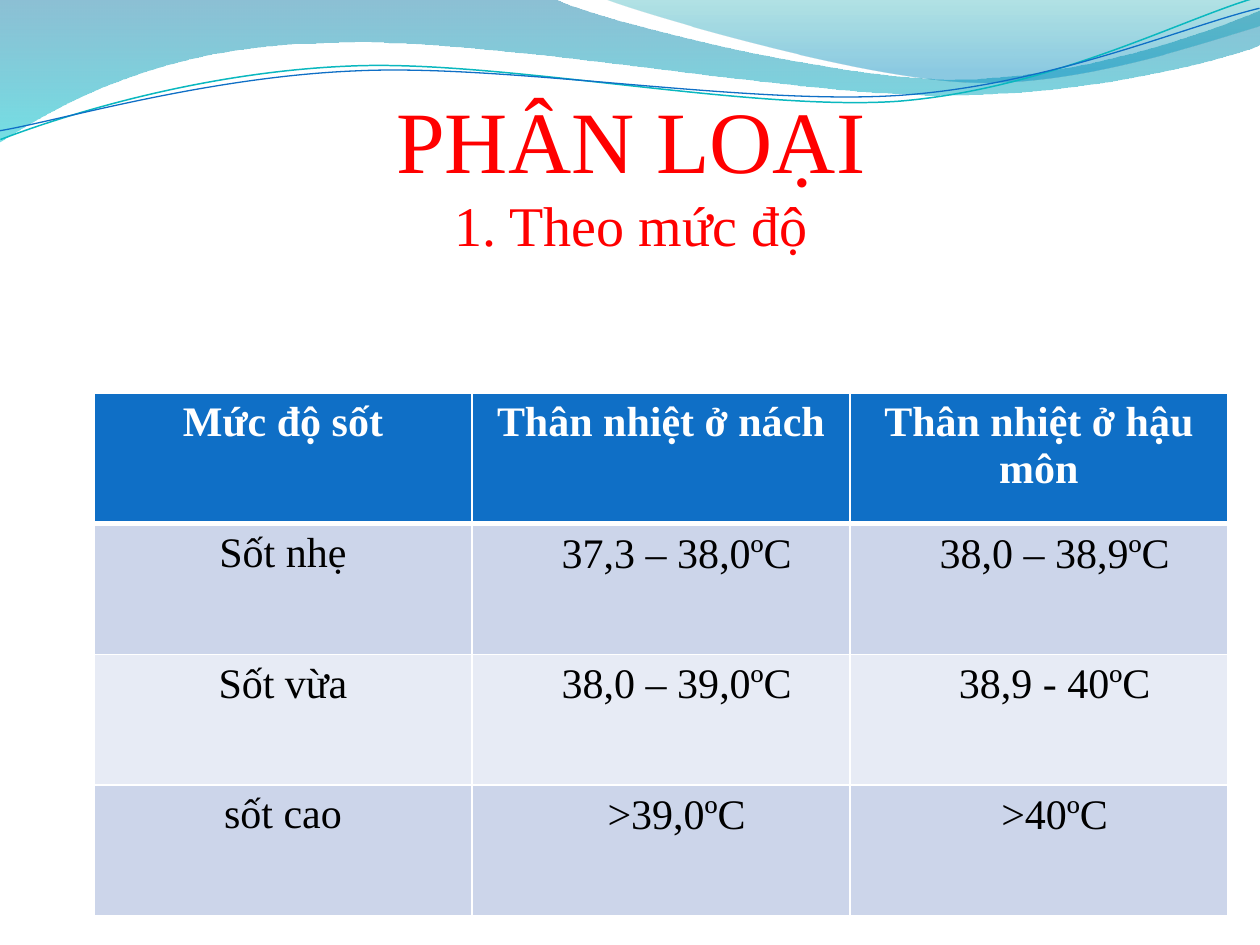
import pptx
import pptx.util
import pptx.dml.color
import pptx.enum.text
import pptx.oxml
import pptx.oxml.ns
from lxml import etree

PX = 914400 // 126
FONT = "Times New Roman"
HUES = {
    "red": "FF0000", "white": "FFFFFF", "black": "000000",
    "blue": "0F6FC6", "teal": "0AB8BF",
    "odd": "CCD5EA", "even": "E7EBF5",
    "deep": "0074A1", "aqua": "00C6CF", "sea": "00A1A9", "sky": "008BBF",
}
ROWS = [
    ["Mức độ sốt", "Thân nhiệt ở nách", "Thân nhiệt ở hậu môn"],
    ["Sốt nhẹ", "37,3 – 38,0ºC", "38,0 – 38,9ºC"],
    ["Sốt vừa", "38,0 – 39,0ºC", "38,9 - 40ºC"],
    ["sốt cao", ">39,0ºC", ">40ºC"],
]
BACK = [
    [(0, 0)],
    [(554, -1)],
    [(600, 21), (837, 79), (955, 79)],
    [(1075, 79), (1207, 33), (1260, 11)],
    [(1261, 45)],
    [(1239, 55), (1096, 96), (940, 95)],
    [(784, 95), (481, 35), (324, 43)],
    [(163, 45), (58, 105), (-1, 142)],
    [(0, 0)],
]
FRONT = [
    [(604, -1)],
    [(641, 14), (859, 78), (969, 82)],
    [(1079, 87), (1211, 40), (1260, 26)],
    [(1260, 0)],
    [(604, -1)],
]
UPPER = [
    [(-2, 110)],
    [(58, 90), (199, 52), (350, 53)],
    [(499, 53), (745, 117), (896, 114)],
    [(1049, 109), (1184, 45), (1260, 27)],
]
LOWER = [
    [(-2, 101)],
    [(57, 94), (207, 57), (357, 58)],
    [(509, 58), (750, 112), (902, 108)],
    [(1052, 104), (1188, 52), (1262, 38)],
]


def hue(name):
    return pptx.dml.color.RGBColor.from_string(HUES[name])


def tag(name):
    return pptx.oxml.ns.qn(f"a:{name}")


def draw(slide, parts, close):
    dots = [(x * PX, y * PX) for part in parts for x, y in part]
    pen = slide.shapes.build_freeform(*dots[0])
    pen.add_line_segments(dots[1:], close=close)
    shape = pen.convert_to_shape()
    shape.shadow.inherit = False
    lines = iter(list(shape.element.iter(tag("lnTo"))))
    for part in parts[1:]:
        group = [next(lines) for _ in part]
        if len(group) == 3:
            bend = etree.Element(tag("cubicBezTo"))
            group[0].addprevious(bend)
            for line in group:
                bend.append(line[0])
                line.getparent().remove(line)
    return shape


def add_wave(slide, parts, stops):
    shape = draw(slide, parts, True)
    shape.line.fill.background()
    shape.fill.gradient()
    shape.fill.gradient_angle = 270
    for stop, (place, name, _) in zip(shape.fill.gradient_stops, stops):
        stop.position = place
        stop.color.rgb = hue(name)
    tints = shape.element.iter(tag("srgbClr"))
    for tint, (_, _, alpha) in zip(tints, stops):
        etree.SubElement(tint, tag("alpha"), val=str(alpha * 1000))


def add_curve(slide, parts, name, width):
    shape = draw(slide, parts, False)
    shape.rotation = 357.3
    shape.fill.background()
    shape.line.color.rgb = hue(name)
    shape.line.width = pptx.util.Pt(width)


def write(para, text, size=24, color="black", bold=False):
    para.alignment = pptx.enum.text.PP_ALIGN.CENTER
    run = para.add_run()
    run.text = text
    run.font.name = FONT
    run.font.size = pptx.util.Pt(size)
    run.font.bold = bold
    run.font.color.rgb = hue(color)


def add_title(slide):
    title = slide.shapes.title
    title.left, title.top = 64 * PX, 0
    title.width, title.height = 1134 * PX, 258 * PX
    frame = title.text_frame
    frame.word_wrap = True
    frame.auto_size = pptx.enum.text.MSO_AUTO_SIZE.NONE
    frame.vertical_anchor = pptx.enum.text.MSO_ANCHOR.BOTTOM
    frame.margin_left = frame.margin_right = frame.margin_bottom = 0
    para = frame.paragraphs[0]
    write(para, "PHÂN LOẠI", size=50, color="red")
    para.add_line_break()
    write(para, "1. Theo mức độ", size=32, color="red")


def add_edges(cell):
    props = cell._tc.get_or_add_tcPr()
    for side, points in zip("LRTB", (1, 1, 1, 3)):
        props.append(pptx.oxml.parse_xml(
            f'<a:ln{side} {pptx.oxml.ns.nsdecls("a")} w="{pptx.util.Pt(points)}">'
            f'<a:solidFill><a:srgbClr val="{HUES["white"]}"/></a:solidFill>'
            f'</a:ln{side}>'))


def indent(cell):
    cell.margin_left = cell.margin_right = 9 * PX
    cell.margin_top = cell.margin_bottom = 0
    para = cell.text_frame.paragraphs[0]
    para.line_spacing = 1.15
    props = para._p.get_or_add_pPr()
    props.set("marL", str(pptx.util.Inches(0.25)))
    props.set("indent", "0")


def add_grid(slide):
    grid = slide.shapes.add_table(len(ROWS), len(ROWS[0]), 94 * PX, 393 * PX,
                                  1134 * PX, 523 * PX).table
    for r, texts in enumerate(ROWS):
        head = r == 0
        for c, text in enumerate(texts):
            cell = grid.cell(r, c)
            if head:
                add_edges(cell)
            cell.fill.solid()
            cell.fill.fore_color.rgb = hue(
                "blue" if head else "odd" if r % 2 else "even")
            write(cell.text_frame.paragraphs[0], text, bold=head,
                  color="white" if head else "black")
            if c and not head:
                indent(cell)


def main():
    deck = pptx.Presentation()
    deck.slide_width, deck.slide_height = 1260 * PX, 945 * PX
    slide = deck.slides.add_slide(deck.slide_layouts[5])
    add_wave(slide, BACK, [(0, "deep", 45), (1, "aqua", 55)])
    add_wave(slide, FRONT, [(0, "sea", 30), (0.8, "sky", 45)])
    add_curve(slide, UPPER, "teal", 0.85)
    add_curve(slide, LOWER, "blue", 0.75)
    add_title(slide)
    add_grid(slide)
    deck.save("out.pptx")


if __name__ == "__main__":
    main()
